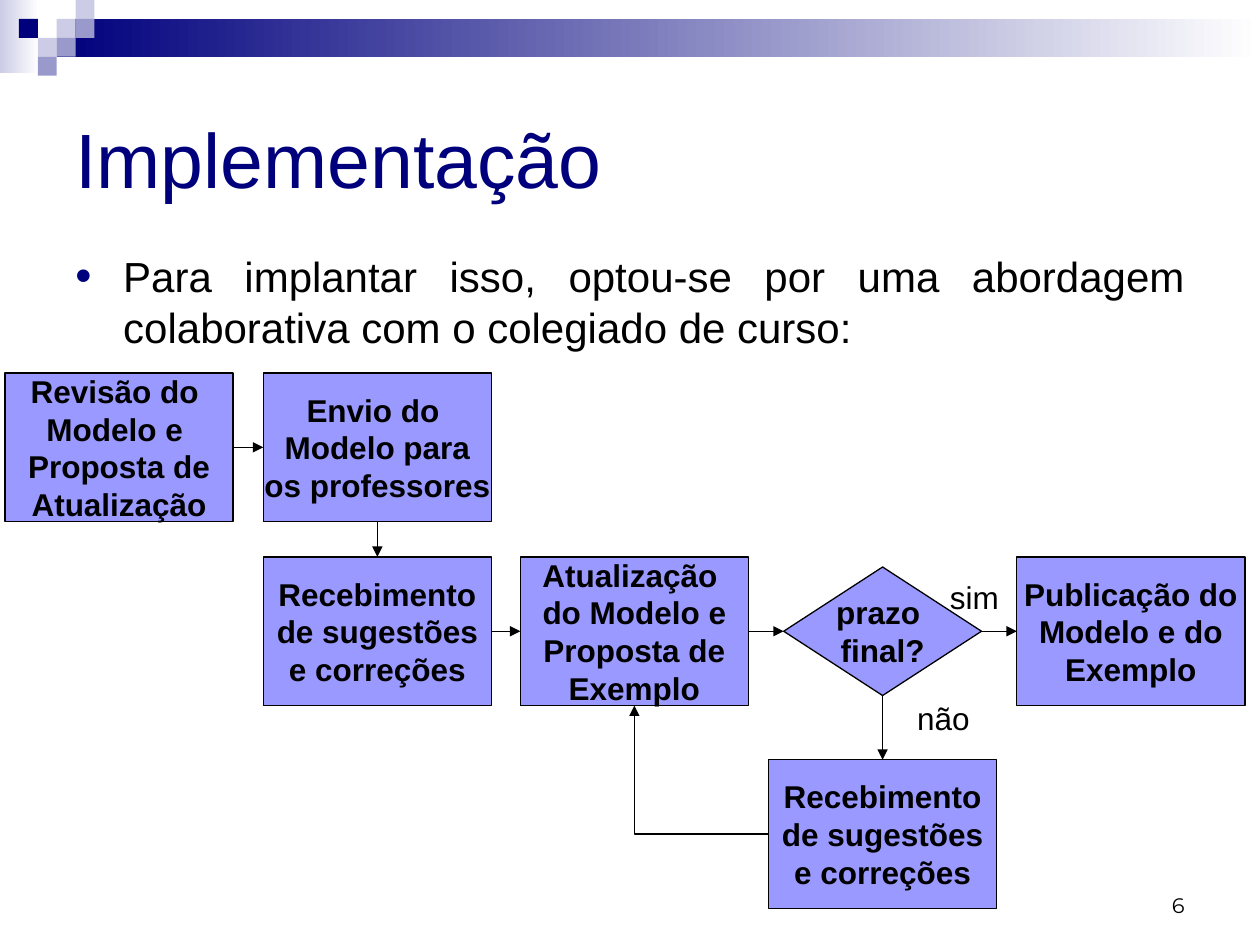
"""Build the "Implementação" slide with its collaborative review flowchart."""
import pptx
import pptx.dml.color
import pptx.enum.shapes
import pptx.enum.text
import pptx.oxml
import pptx.oxml.ns
import pptx.util
from pptx.util import Inches

COLORS = {
    "navy": "00007D",
    "violet": "9999CC",
    "pale": "CCCCE6",
    "box": "9999FF",
    "white": "FFFFFF",
    "black": "000000",
}
RGB = {name: pptx.dml.color.RGBColor.from_string(value) for name, value in COLORS.items()}
NAMESPACE = pptx.oxml.ns.nsdecls("a")
SHAPE = pptx.enum.shapes.MSO_SHAPE
CONNECTOR = pptx.enum.shapes.MSO_CONNECTOR
ALIGN = pptx.enum.text.PP_ALIGN
ANCHOR = pptx.enum.text.MSO_ANCHOR


def write_text(shape, lines, size, align=ALIGN.LEFT, anchor=ANCHOR.TOP,
               wrap=True, bold=False, color="black", font="Arial"):
    """Fill a shape with one paragraph per line."""
    frame = shape.text_frame
    frame.word_wrap = wrap
    frame.vertical_anchor = anchor
    for index, line in enumerate(lines):
        paragraph = frame.add_paragraph() if index else frame.paragraphs[0]
        paragraph.alignment = align
        run = paragraph.add_run()
        run.text = line
        run.font.name = font
        run.font.size = pptx.util.Pt(size)
        run.font.bold = bold
        run.font.color.rgb = RGB[color]


presentation = pptx.Presentation()
presentation.slide_width = Inches(10)
presentation.slide_height = Inches(7.5)
slide = presentation.slides.add_slide(presentation.slide_layouts[6])
shapes = slide.shapes

bands = [(0, 0, 0.31, 0.58, "pale"), (0.45, 0.15, 9.55, 0.3, "navy")]
for left, top, width, height, color in bands:
    band = shapes.add_shape(SHAPE.RECTANGLE, Inches(left), Inches(top), Inches(width), Inches(height))
    band.shadow.inherit = False
    band.line.fill.background()
    band.fill.gradient()
    band.fill.gradient_angle = 180
    for stop, stop_color in zip(band.fill.gradient_stops, ("white", color)):
        stop.color.rgb = RGB[stop_color]

SQUARE = 0.15
squares = [
    (3, 1, "pale"), (4, 0, "pale"), (4, 1, "violet"), (2, 2, "pale"),
    (1, 1, "navy"), (3, 2, "violet"), (2, 3, "violet"),
]
for column, row, color in squares:
    square = shapes.add_shape(SHAPE.RECTANGLE, Inches(column * SQUARE), Inches(row * SQUARE),
                              Inches(SQUARE), Inches(SQUARE))
    square.shadow.inherit = False
    square.line.fill.background()
    square.fill.solid()
    square.fill.fore_color.rgb = RGB[color]

page_number = shapes.add_textbox(Inches(7.17), Inches(6.83), Inches(2.33), Inches(0.5))
write_text(page_number, ["6"], 12, ALIGN.RIGHT, ANCHOR.BOTTOM, font="Montserrat")

title = shapes.add_textbox(Inches(0.5), Inches(0.5), Inches(9), Inches(1.5))
write_text(title, ["Implementação"], 44, anchor=ANCHOR.MIDDLE, color="navy")

body = shapes.add_textbox(Inches(0.5), Inches(1.94), Inches(9), Inches(4.25))
write_text(body, ["Para implantar isso, optou-se por uma abordagem colaborativa com o colegiado de curso:"],
           24, ALIGN.JUSTIFY)
bullet_paragraph = body.text_frame.paragraphs[0]
bullet_paragraph.space_before = pptx.util.Pt(6)
properties = bullet_paragraph._p.get_or_add_pPr()
properties.set("marL", str(Inches(0.38)))
properties.set("indent", str(-Inches(0.38)))
for bullet_xml in (
    f'<a:buClr {NAMESPACE}><a:srgbClr val="{COLORS["navy"]}"/></a:buClr>',
    f'<a:buSzPct {NAMESPACE} val="110000"/>',
    f'<a:buFont {NAMESPACE} typeface="Arial"/>',
    f'<a:buChar {NAMESPACE} char="•"/>',
):
    properties.append(pptx.oxml.parse_xml(bullet_xml))

BOX = (1.81, 1.18)
DIAMOND = (1.57, 1.02)
feedback_lines = ["Recebimento", "de sugestões", "e correções"]
steps = [
    ("review", 0.04, 2.96, BOX, ["Revisão do ", "Modelo e ", "Proposta de", "Atualização"]),
    ("sending", 2.09, 2.96, BOX, ["Envio do ", "Modelo para", "os professores"]),
    ("feedback", 2.09, 4.42, BOX, feedback_lines),
    ("update", 4.13, 4.42, BOX, ["Atualização ", "do Modelo e", "Proposta de", "Exemplo"]),
    ("more feedback", 6.1, 6.03, BOX, feedback_lines),
    ("deadline", 6.22, 4.5, DIAMOND, ["prazo ", "final?"]),
    ("publication", 8.07, 4.42, BOX, ["Publicação do", "Modelo e do", "Exemplo"]),
]
step_shapes = {}
for name, left, top, size, lines in steps:
    geometry = SHAPE.FLOWCHART_DECISION if size == DIAMOND else SHAPE.FLOWCHART_PROCESS
    step = shapes.add_shape(geometry, Inches(left), Inches(top), Inches(size[0]), Inches(size[1]))
    step.shadow.inherit = False
    step.fill.solid()
    step.fill.fore_color.rgb = RGB["box"]
    step.line.color.rgb = RGB["black"]
    step.line.width = pptx.util.Pt(0.75)
    write_text(step, lines, 18, ALIGN.CENTER, ANCHOR.MIDDLE, wrap=False, bold=True)
    step_shapes[name] = step

TOP, LEFT, BOTTOM, RIGHT = range(4)
arrows = [
    ("review", RIGHT, "sending", LEFT),
    ("sending", BOTTOM, "feedback", TOP),
    ("feedback", RIGHT, "update", LEFT),
    ("update", RIGHT, "deadline", LEFT),
    ("deadline", BOTTOM, "more feedback", TOP),
    ("more feedback", LEFT, "update", BOTTOM),
    ("deadline", RIGHT, "publication", LEFT),
]
for start, start_side, end, end_side in arrows:
    bent = (start_side, end_side) == (LEFT, BOTTOM)
    arrow = shapes.add_connector(CONNECTOR.ELBOW if bent else CONNECTOR.STRAIGHT, 0, 0, 0, 0)
    arrow.begin_connect(step_shapes[start], start_side)
    arrow.end_connect(step_shapes[end], end_side)
    arrow.line.color.rgb = RGB["black"]
    arrow.line.width = pptx.util.Pt(0.75)
    arrow_properties = arrow._element.spPr
    if bent:
        arrow_properties.find(pptx.oxml.ns.qn("a:prstGeom")).set("prst", "bentConnector2")
    arrow.line._get_or_add_ln().append(pptx.oxml.parse_xml(f'<a:tailEnd {NAMESPACE} type="triangle"/>'))
    arrow_properties.append(pptx.oxml.parse_xml(f"<a:effectLst {NAMESPACE}/>"))

for left, top, answer in [(7.18, 5.5, "não"), (7.44, 4.54, "sim")]:
    label = shapes.add_textbox(Inches(left), Inches(top), Inches(0.66), Inches(0.4))
    write_text(label, [answer], 18)

presentation.save("out.pptx")
